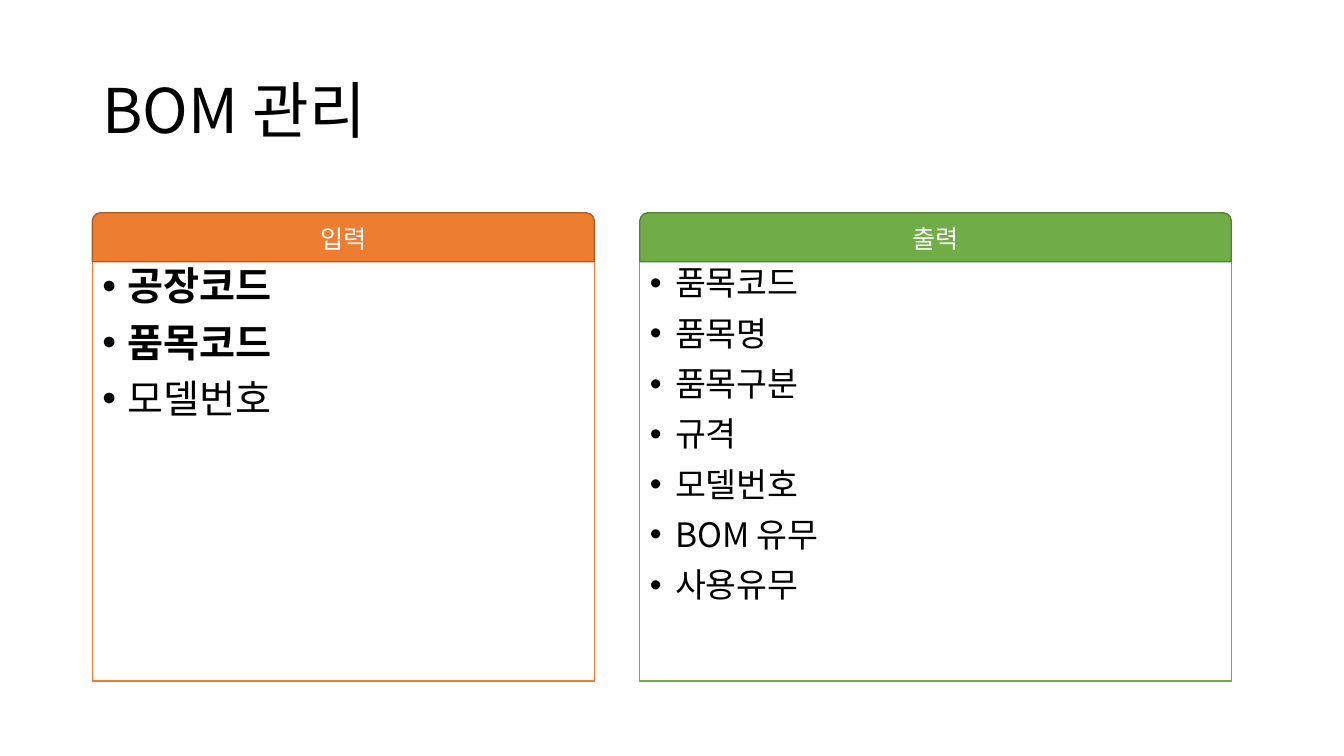
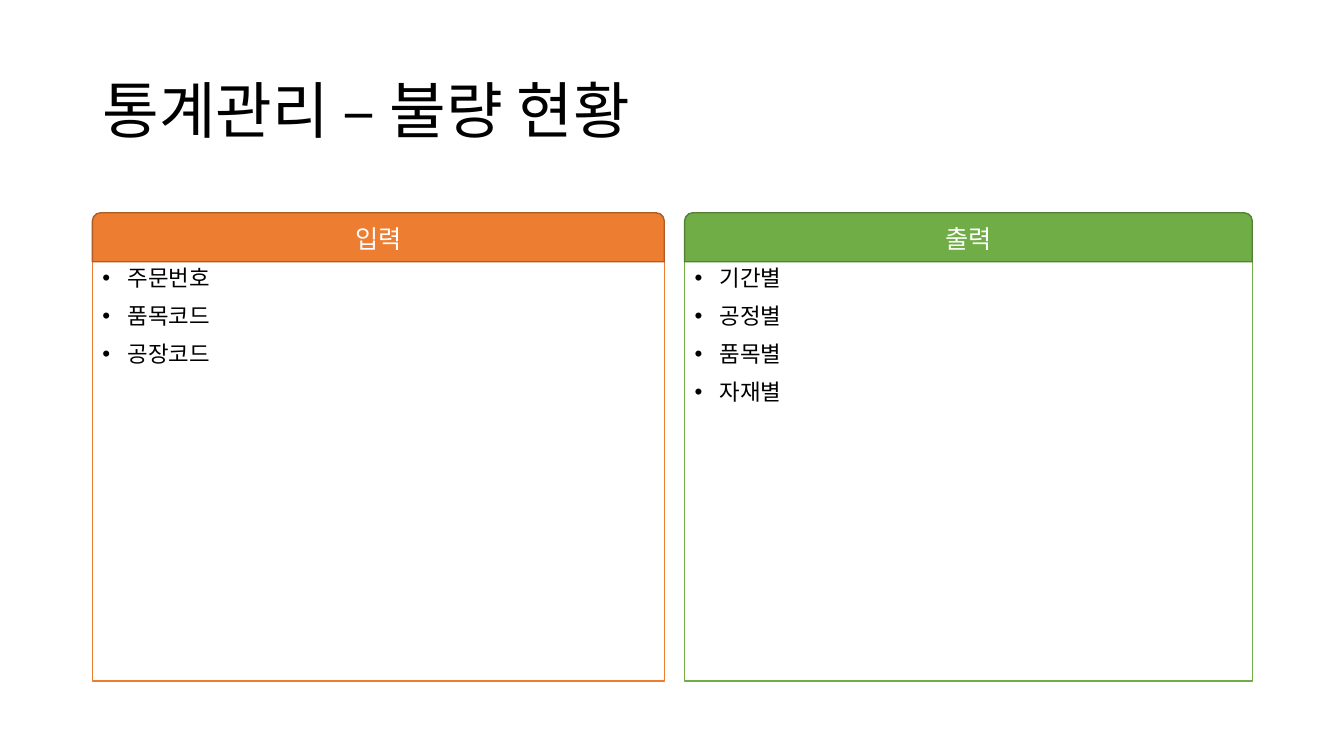
from dataclasses import dataclass

from lxml.etree import SubElement
from pptx import Presentation
from pptx.dml.color import RGBColor
from pptx.enum.shapes import MSO_SHAPE
from pptx.enum.text import MSO_ANCHOR, MSO_AUTO_SIZE, PP_ALIGN
from pptx.oxml.ns import qn
from pptx.util import Pt


# Shared colours, type sizes and lengths in points
@dataclass(frozen=True)
class Theme:
    font: str = "Noto Sans CJK KR"
    ink: str = "000000"
    paper: str = "FFFFFF"
    orange: tuple = ("ED7D31", "AF5C24")
    green: tuple = ("70AD47", "538035")
    title: int = 44
    head: int = 18
    left: float = 66
    top: float = 152
    band: float = 35
    body: float = 299.5
    indent: float = 18


THEME = Theme()


def color(code):
    return RGBColor.from_string(code)


def place(shape, left, top, width, height):
    shape.left, shape.top = Pt(left), Pt(top)
    shape.width, shape.height = Pt(width), Pt(height)


def paint(shape, fill, line):
    shape.fill.solid()
    shape.fill.fore_color.rgb = color(fill)
    shape.line.color.rgb = color(line)
    shape.line.width = Pt(1)


def add_dot(para):
    props = para._p.get_or_add_pPr()
    props.set("marL", str(Pt(THEME.indent)))
    props.set("indent", str(-Pt(THEME.indent)))
    SubElement(props, qn("a:buFont"), typeface="Arial")
    SubElement(props, qn("a:buChar"), char="•")


def write(shape, *lines, size, ink=THEME.ink, bold=0, dots=False,
          align=PP_ALIGN.LEFT, anchor=MSO_ANCHOR.MIDDLE, lead=0.9, gap=0):
    """Fill a shape with lines; the first `bold` of them are bold."""
    frame = shape.text_frame
    frame.word_wrap = True
    frame.auto_size = MSO_AUTO_SIZE.NONE
    frame.vertical_anchor = anchor
    for i, text in enumerate(lines):
        para = frame.add_paragraph() if i else frame.paragraphs[0]
        if dots:
            add_dot(para)
        para.alignment = align
        para.line_spacing = lead
        para.space_before = Pt(gap if i else 0)
        run = para.add_run()
        run.text = text
        font = run.font
        font.size, font.bold, font.name = Pt(size), i < bold, THEME.font
        font.color.rgb = color(ink)
        SubElement(run._r.get_or_add_rPr(), qn("a:ea"), typeface=THEME.font)


# A framed list under a round-topped heading
def add_panel(slide, holder, label, tint, left, width, items, size, bold=0):
    fill, edge = tint
    place(holder, left, THEME.top + THEME.band, width, THEME.body)
    paint(holder, THEME.paper, fill)
    write(holder, *items, size=size, bold=bold, dots=True,
          anchor=MSO_ANCHOR.TOP, gap=10)

    head = slide.shapes.add_shape(
        MSO_SHAPE.ROUND_2_SAME_RECTANGLE,
        Pt(left), Pt(THEME.top), Pt(width), Pt(THEME.band))
    head.shadow.inherit = False
    paint(head, fill, edge)
    write(head, label, size=THEME.head, ink=THEME.paper,
          align=PP_ALIGN.CENTER, lead=1)


def add_page(deck, title, widths, gap, inputs, outputs, size, bold=0):
    slide = deck.slides.add_slide(deck.slide_layouts[3])
    name, first, second = slide.placeholders
    place(name, THEME.left, 28.75, 828, 104.5)
    write(name, title, size=THEME.title)
    add_panel(slide, first, "입력", THEME.orange, THEME.left, widths[0],
              inputs, size[0], bold)
    add_panel(slide, second, "출력", THEME.green,
              THEME.left + widths[0] + gap, widths[1], outputs, size[1])


def main():
    deck = Presentation()
    deck.slide_width, deck.slide_height = Pt(960), Pt(540)

    # Parts list
    add_page(deck, "BOM 관리", (358.5, 422.5), 32.5,
             ["공장코드", "품목코드", "모델번호"],
             ["품목코드", "품목명", "품목구분", "규격", "모델번호",
              "BOM 유무", "사용유무"],
             size=(28, 24), bold=2)

    # Defect figures
    add_page(deck, "통계관리 – 불량 현황", (408.5, 405.5), 14.5,
             ["주문번호", "품목코드", "공장코드"],
             ["기간별", "공정별", "품목별", "자재별"],
             size=(16, 16))

    deck.save("out.pptx")


if __name__ == "__main__":
    main()
